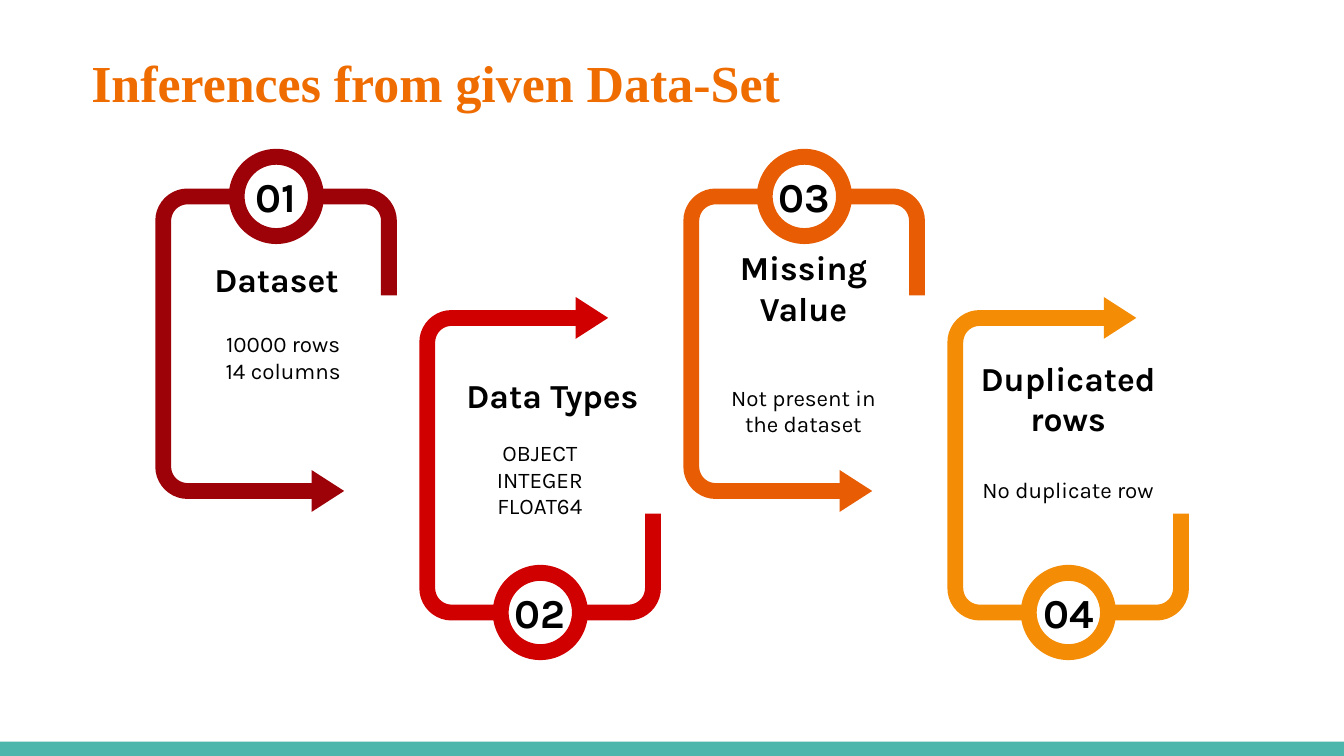
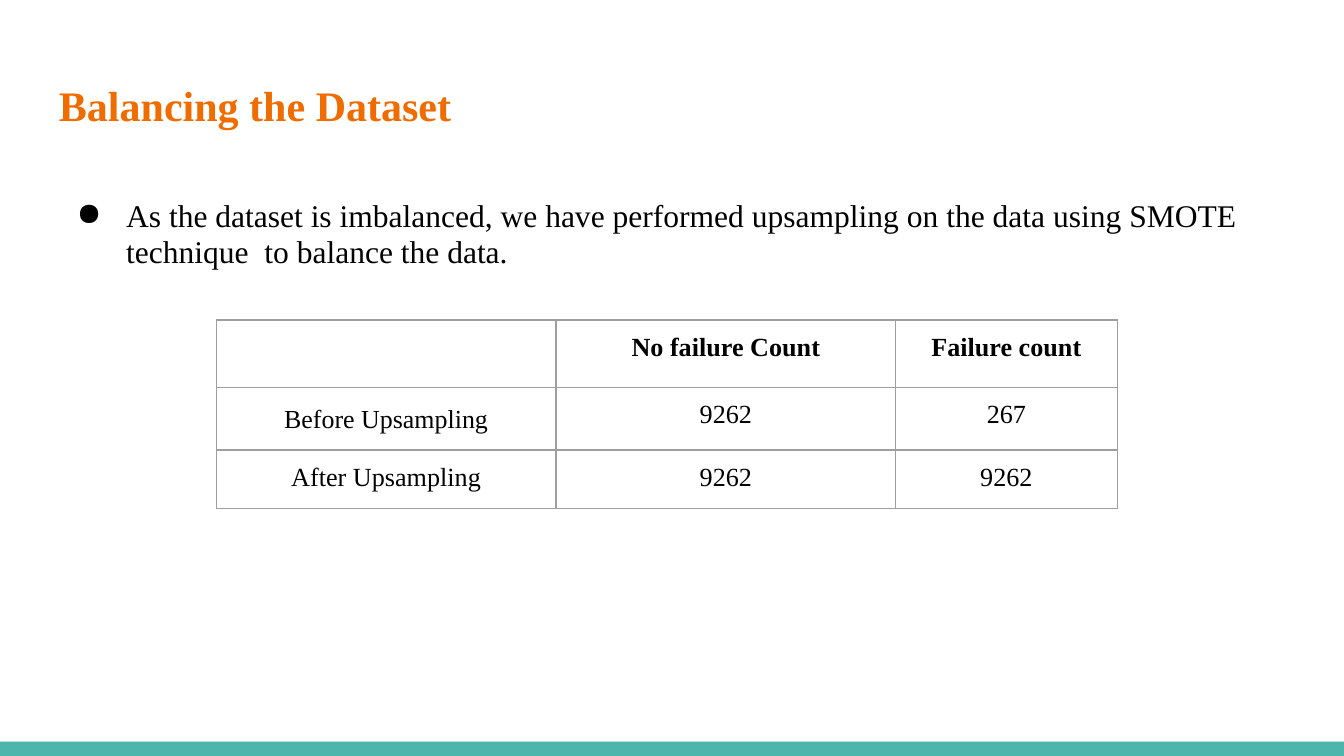
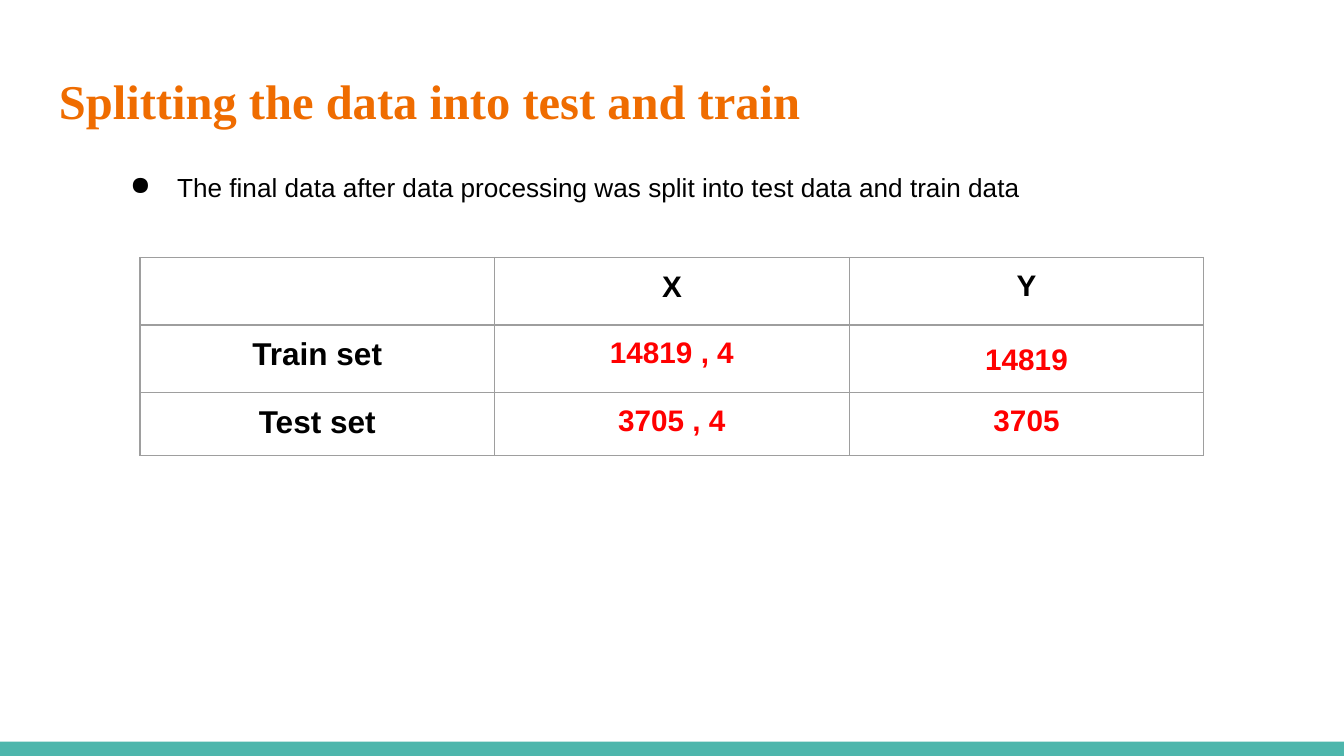
from math import cos, radians, sin

from lxml.etree import SubElement
from pptx import Presentation
from pptx.dml.color import RGBColor
from pptx.enum.shapes import MSO_SHAPE
from pptx.enum.text import MSO_ANCHOR, PP_ALIGN
from pptx.oxml.ns import qn
from pptx.util import Pt

HUES = {
    "title": "EF6C00", "band": "4DB6AC", "text": "000000", "white": "FFFFFF",
    "grid": "9E9E9E", "value": "FF0000",
    "01": "9D0208", "02": "D00000", "03": "E85D04", "04": "F48C06",
}
SERIF, SANS, KARLA = "Times New Roman", "Arial", "Karla"
MID = {"alignment": PP_ALIGN.CENTER}
PAD = {f"margin_{side}": Pt(7.2) for side in ("left", "top", "right", "bottom")}


def write(frame, text, face, size, hue="text", bold=False, form=MID, inset=0, hang=0):
    for i, line in enumerate(text.split("\n")):
        para = frame.add_paragraph() if i else frame.paragraphs[0]
        for key, val in form.items():
            setattr(para, key, val)
        run = para.add_run()
        run.text = line
        for key, val in {"name": face, "size": Pt(size), "bold": bold}.items():
            setattr(run.font, key, val)
        run.font.color.rgb = RGBColor.from_string(HUES[hue])
        props = para._p.get_or_add_pPr()
        if inset:
            props.set("marL", str(Pt(inset)))
            props.set("indent", str(Pt(-hang)))
        if hang:
            tint = SubElement(props, qn("a:buClr"))
            SubElement(tint, qn("a:srgbClr"), val=HUES[hue])
            SubElement(props, qn("a:buChar"), char="●")


def paint(shape, hue):
    shape.shadow.inherit = False
    shape.fill.solid()
    shape.fill.fore_color.rgb = RGBColor.from_string(HUES[hue])
    shape.line.fill.background()


deck = Presentation()
deck.slide_width, deck.slide_height = Pt(720), Pt(405)

LEFT = {"alignment": PP_ALIGN.LEFT}
LEAD = {**LEFT, "line_spacing": 0.95, "space_after": Pt(12)}
HEAD = {**LEFT, "space_before": Pt(10)}
titles = [
    ("Inferences from given Data-Set", 27.8, (41.8, 22.3, 472, 46.8), LEAD),
    ("Balancing the Dataset", 22.5, (24.5, 35.3, 671, 55.4), HEAD),
    ("Splitting the data into test and train", 26, (24.5, 31, 671, 55.4), HEAD),
]
for text, size, place, form in titles:
    slide = deck.slides.add_slide(deck.slide_layouts[6])
    band = slide.shapes.add_shape(MSO_SHAPE.RECTANGLE, 0, Pt(397.4), Pt(720), Pt(7.6))
    paint(band, "band")
    frame = slide.shapes.add_textbox(*map(Pt, place)).text_frame
    for key, val in {**PAD, "word_wrap": True}.items():
        setattr(frame, key, val)
    write(frame, text, SERIF, size, "title", True, form)

WIDE, HIGH, BAR, BEND = 129.4, 166.3, 8.5, 17.3
low, far, curve = HIGH - BEND, WIDE - BEND, BEND - BAR
arcs = [
    (BEND, BEND, BEND, 270, 180), (BEND, low, BEND, 180, 90),
    (90.5, HIGH, 0, 0, 0), (90.5, HIGH - BAR, 0, 0, 0),
    (BEND, low, curve, 90, 180), (BEND, BEND, curve, 180, 270),
    (far, BEND, curve, 270, 360),
    (WIDE - BAR, 57.3, 0, 0, 0), (WIDE, 57.3, 0, 0, 0),
    (far, BEND, BEND, 360, 270),
]
frame_path = []
for cx, cy, r, start, end in arcs:
    for step in range(11 if r else 1):
        turn = radians(start + (end - start) * step / 10)
        frame_path.append((cx + r * cos(turn), cy + r * sin(turn)))
tip = HIGH - BAR / 2
arrow_path = [(83.8, tip - 11.2), (83.8, tip + 11.2), (101.2, tip)]

cards = [
    ("01", "Dataset", (92.9, 140.4, 110.5), "10000 rows\n14 columns", (96.5, 173.5)),
    ("02", "Data Types", (215.3, 202.3, 139), "OBJECT\nINTEGER\nFLOAT64", (234, 239)),
    ("03", "Missing Value", (375.2, 144.7, 110.5), "Not present in the dataset", (375.2, 202.3)),
    ("04", "Duplicated rows", (517, 203.8, 110.5), "No duplicate row", (517, 244.8)),
]
shapes = deck.slides[0].shapes
for i, (mark, head, spot, body, seat) in enumerate(cards):
    left = 83.2 + 141.45 * i
    base, way = (332.4, -1) if i % 2 else (101, 1)
    for outline in (frame_path, arrow_path):
        dots = [(Pt(left + x), Pt(base + way * y)) for x, y in outline]
        pen = shapes.build_freeform(*dots[0], scale=1)
        pen.add_line_segments(dots[1:], close=True)
        paint(pen.convert_to_shape(), mark)
    mid, hub = left + 64.8, base + way * BAR / 2
    for kind, size, hue in ((MSO_SHAPE.OVAL, 42.6, "white"), (MSO_SHAPE.DONUT, 51, mark)):
        ring = shapes.add_shape(kind, Pt(mid - size / 2), Pt(hub - size / 2), Pt(size), Pt(size))
        paint(ring, hue)
    ring.adjustments[0] = 0.167
    inset = 27.5 if mark == "02" else 0
    for text, place, size, bold, form, gap in (
        (body, (*seat, 110.5, 35.3), 12, False, MID, 0),
        (head, (*spot, 18.7), 18, True, LEFT if inset else MID, inset),
        (mark, (mid - 35.6, hub - 9.4, 71.2, 18.7), 22, True, MID, 0),
    ):
        frame = shapes.add_textbox(*map(Pt, place)).text_frame
        for key, val in {**PAD, "word_wrap": True, "vertical_anchor": MSO_ANCHOR.MIDDLE}.items():
            setattr(frame, key, val)
        write(frame, text, KARLA, size, "text", bold, form, gap)

notes = [
    ("As the dataset is imbalanced, we have performed upsampling on the data using SMOTE technique  to balance the data.",
     SERIF, 16.9, (24.5, 99.4, 671, 62.6), 0.95, 26.6),
    ("The final data after data processing was split into test data and train data",
     SANS, 14, (51.8, 82.1, 543.6, 31.7), 1.15, 25.2),
]
grids = [
    (SERIF, (115.9, 171.4), (182, 182, 118.6), (34.5, 32.1, 31.1), [
        [("", 14), ("No failure Count", 14), ("Failure count", 14)],
        [("Before Upsampling", 13.9, 1.15), ("9262", 14), ("267", 14)],
        [("After Upsampling", 14), ("9262", 14), ("9262", 14)],
    ]),
    (SANS, (75, 138), (190, 190, 190), (36.1, 36.2, 33.8), [
        [("", 15.9), ("X", 15.9), ("Y", 15.9, 0.95)],
        [("Train set", 16.9, 0.95), ("14819 , 4", 15.9, 0.95), ("14819", 15.9, 1.15)],
        [("Test set", 16.9, 0.95), ("3705 , 4", 15.9, 0.95), ("3705", 15.9, 0.95)],
    ]),
]
for slide, note, grid in zip(list(deck.slides)[1:], notes, grids):
    text, face, size, place, pitch, hang = note
    frame = slide.shapes.add_textbox(*map(Pt, place)).text_frame
    for key, val in {**PAD, "word_wrap": True}.items():
        setattr(frame, key, val)
    write(frame, text, face, size, form={**LEFT, "line_spacing": pitch}, inset=36, hang=hang)

    face, spot, wides, highs, rows = grid
    table = slide.shapes.add_table(3, 3, *map(Pt, (*spot, sum(wides), sum(highs)))).table
    table.first_row = table.horz_banding = False
    for col, wide in zip(table.columns, wides):
        col.width = Pt(wide)
    for r, (row, high) in enumerate(zip(rows, highs)):
        table.rows[r].height = Pt(high)
        for c, (text, size, *pitch) in enumerate(row):
            cell = table.cell(r, c)
            for key, val in PAD.items():
                setattr(cell, key, val)
            hue = "value" if face == SANS and r and c else "text"
            form = {**MID, "line_spacing": pitch[0] if pitch else 1.0}
            write(cell.text_frame, text, face, size, hue, face == SANS or r == 0, form)
            props = cell._tc.get_or_add_tcPr()
            for side in ("lnL", "lnR", "lnT", "lnB"):
                edge = SubElement(props, qn(f"a:{side}"), w=str(Pt(0.75)))
                SubElement(SubElement(edge, qn("a:solidFill")), qn("a:srgbClr"), val=HUES["grid"])
            cell.fill.background()

deck.save("out.pptx")
